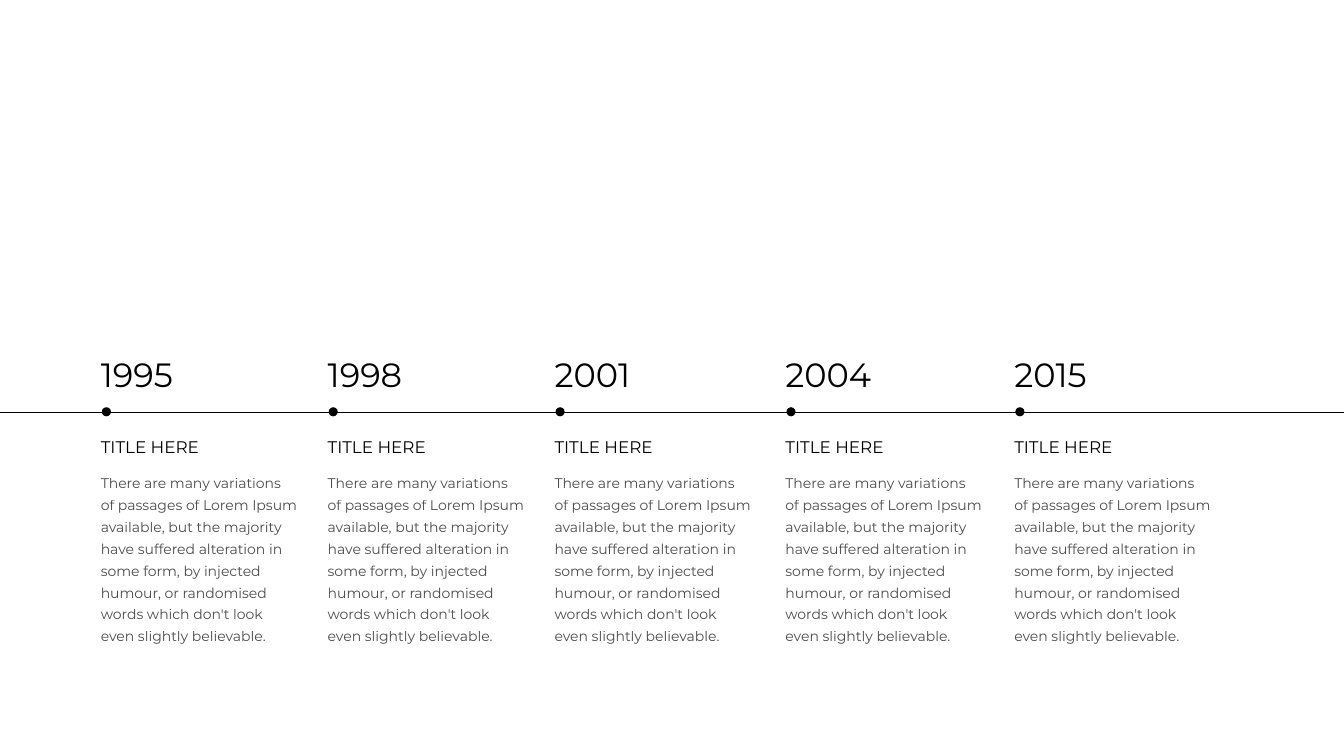
import pptx
import pptx.dml.color
import pptx.enum.shapes
import pptx.enum.text
import pptx.oxml.ns
import pptx.util
from lxml import etree

Inches = pptx.util.Inches
qn = pptx.oxml.ns.qn

BLACK = pptx.dml.color.RGBColor(0, 0, 0)
FONT = "Montserrat"
PAGE_WIDTH, PAGE_HEIGHT = 13.33, 7.5
AXIS_TOP = 4.09
MILESTONE_TOP, MILESTONE_WIDTH = 3.51, 1.95
DOT_SIZE = 0.09
HEADING = "TITLE HERE"
DESCRIPTION = (
    "There are many variations of passages of Lorem Ipsum available, "
    "but the majority have suffered alteration in some form, by injected "
    "humour, or randomised words which don't look even slightly believable."
)
MILESTONES = [
    (1, "1995"),
    (3.25, "1998"),
    (5.5, "2001"),
    (7.79, "2004"),
    (10.06, "2015"),
]


def add_text(group, left, top, width, height, text, size, spacing, opacity=100):
    box = group.shapes.add_textbox(
        Inches(left), Inches(top), Inches(width), Inches(height)
    )
    frame = box.text_frame
    frame.word_wrap = True
    frame.auto_size = pptx.enum.text.MSO_AUTO_SIZE.SHAPE_TO_FIT_TEXT
    frame.margin_left = frame.margin_right = 0
    frame.margin_top = frame.margin_bottom = Inches(0.05)
    para = frame.paragraphs[0]
    para.line_spacing = spacing
    span = para.add_run()
    span.text = text
    span.font.name = FONT
    span.font.size = pptx.util.Pt(size)
    span.font.color.rgb = BLACK
    if opacity < 100:
        color = next(span._r.iter(qn("a:srgbClr")))
        etree.SubElement(color, qn("a:alpha")).set("val", str(opacity * 1000))


def add_axis(page, left, top, width):
    axis = page.shapes.add_connector(
        pptx.enum.shapes.MSO_CONNECTOR.STRAIGHT,
        Inches(left), Inches(top), Inches(left + width), Inches(top),
    )
    axis.line.color.rgb = BLACK
    axis.line.width = pptx.util.Pt(0.5)
    etree.SubElement(axis._element.spPr, qn("a:effectLst"))


def add_milestone(page, left, top, width, year):
    group = page.shapes.add_group_shape()
    add_text(group, left, top + 1.1, width, 1.85, DESCRIPTION, 10, 1.3, opacity=70)
    add_text(group, left, top, width, 0.47, year, 24, 0.9)
    add_text(group, left, top + 0.8, width, 0.29, HEADING, 12, 0.9)
    dot = group.shapes.add_shape(
        pptx.enum.shapes.MSO_SHAPE.OVAL,
        Inches(left + 0.01), Inches(top + 0.53), Inches(DOT_SIZE), Inches(DOT_SIZE),
    )
    dot.shadow.inherit = False
    dot.fill.solid()
    dot.fill.fore_color.rgb = BLACK
    dot.line.fill.background()


def add_timeline(deck):
    page = deck.slides.add_slide(deck.slide_layouts[6])
    add_axis(page, 0, AXIS_TOP, PAGE_WIDTH)
    for left, year in MILESTONES:
        add_milestone(page, left, MILESTONE_TOP, MILESTONE_WIDTH, year)


def main():
    deck = pptx.Presentation()
    deck.slide_width = Inches(PAGE_WIDTH)
    deck.slide_height = Inches(PAGE_HEIGHT)
    add_timeline(deck)
    deck.save("out.pptx")


if __name__ == "__main__":
    main()
